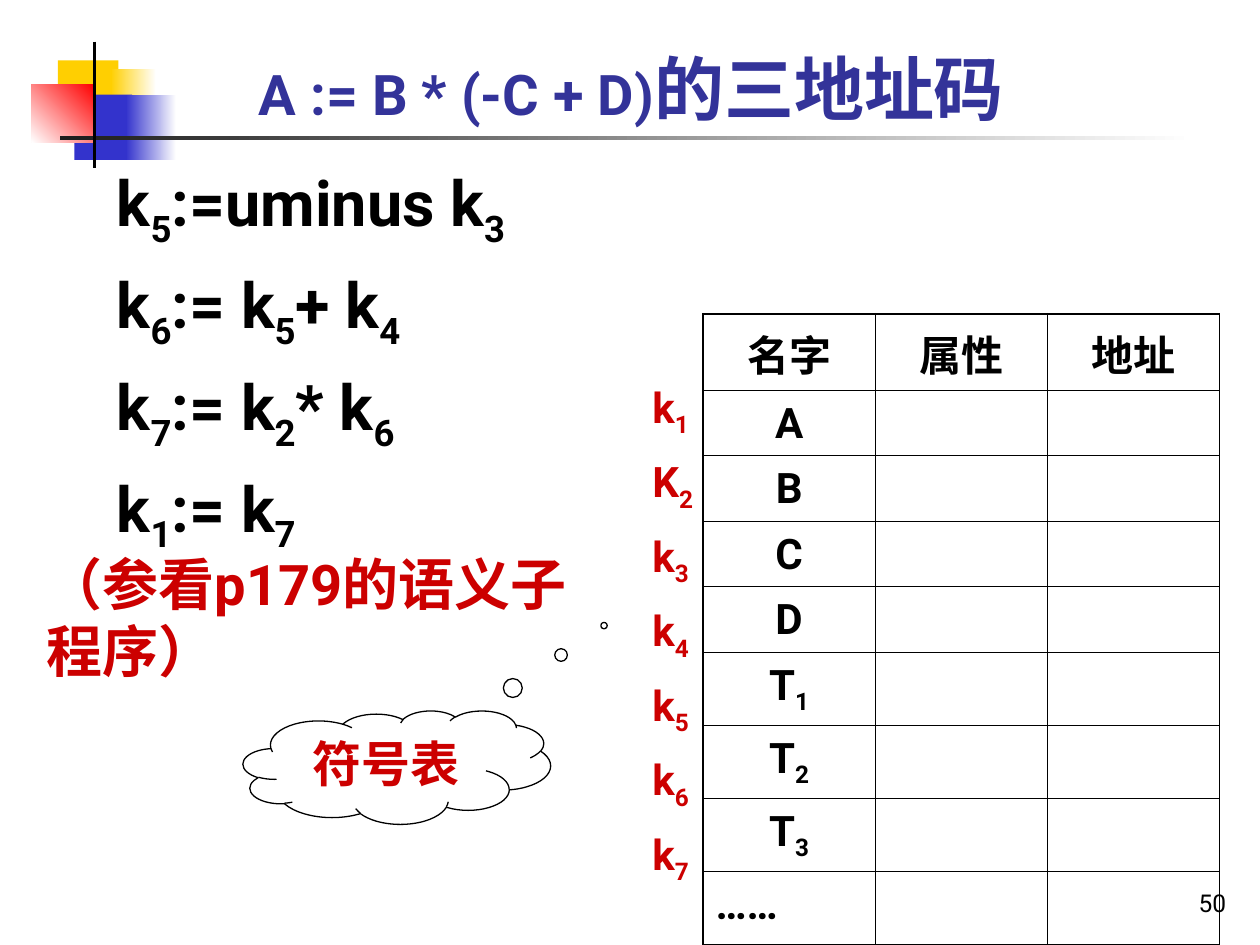
from lxml.etree import SubElement
from pptx import Presentation
from pptx.dml.color import RGBColor
from pptx.enum.shapes import MSO_CONNECTOR, MSO_SHAPE
from pptx.enum.text import MSO_ANCHOR, MSO_AUTO_SIZE, PP_ALIGN
from pptx.oxml import parse_xml
from pptx.oxml.ns import nsdecls, qn
from pptx.util import Inches, Pt

FONT = "Roboto"
BLACK = RGBColor(0, 0, 0)
CHARCOAL = RGBColor(0x1C, 0x1C, 0x1C)
WHITE = RGBColor(0xFF, 0xFF, 0xFF)
YELLOW = RGBColor(0xFF, 0xCF, 0x01)
BLUE = RGBColor(0x33, 0x33, 0xCC)
RED = RGBColor(0xFF, 0, 0)
TITLE_BLUE = RGBColor(0x33, 0x33, 0x99)
TEXT_RED = RGBColor(0xCC, 0, 0)
THIN, THICK = 0.45, 1.08

BLOCKS = [
    ((0.46, 0.48, 0.48, 0.52), [YELLOW], 0),
    ((0.88, 0.55, 0.36, 0.52), [WHITE, YELLOW], 180),
    ((0.59, 0.75, 0.46, 0.52), [BLUE], 0),
    ((1, 0.75, 0.4, 0.52), [WHITE, BLUE], 180),
    ((0.25, 0.67, 0.5, 0.46), [RED, WHITE], 225),
    ((0.48, 1.08, 9, 0.03), [WHITE, CHARCOAL], 180),
]
CODE = ["k_5:=uminus k_3", "k_6:= k_5+ k_4", "k_7:= k_2* k_6", "k_1:= k_7"]
HEADERS = ["名字", "属性", "地址"]
NAMES = ["A", "B", "C", "D", "T_1", "T_2", "T_3", "……"]
ADDRESSES = ["k_1", "K_2", "k_3", "k_4", "k_5", "k_6", "k_7"]


def add_runs(paragraph, text):
    """Write text, lowering the character that follows each underscore."""
    first, *others = text.split("_")
    pieces = [(first, False)]
    for other in others:
        pieces += [(other[0], True), (other[1:], False)]
    for piece, lowered in pieces:
        if piece:
            run = paragraph.add_run()
            run.text = piece
            if lowered:
                run.font._element.set("baseline", "-25000")


def write(frame, lines, size, color=BLACK, align=PP_ALIGN.LEFT, bold=True, before=0, spacing=None):
    """Fill a text frame with one paragraph per line."""
    for index, line in enumerate(lines):
        paragraph = frame.add_paragraph() if index else frame.paragraphs[0]
        add_runs(paragraph, line)
        paragraph.alignment = align
        paragraph.space_before = Pt(before)
        paragraph.line_spacing = spacing
        font = paragraph.font
        font.name, font.size, font.bold = FONT, Pt(size), bold
        font.color.rgb = color


def add_text(slide, box, lines, size, anchor=MSO_ANCHOR.TOP, wrap=True, grow=False, **style):
    """Add a text box and return its text frame."""
    frame = slide.shapes.add_textbox(*map(Inches, box)).text_frame
    frame.word_wrap = wrap
    frame.auto_size = MSO_AUTO_SIZE.SHAPE_TO_FIT_TEXT if grow else MSO_AUTO_SIZE.NONE
    frame.vertical_anchor = anchor
    write(frame, lines, size, **style)
    return frame


def add_block(slide, box, colors, angle):
    """Add a borderless rectangle with a solid or two-colour gradient fill."""
    shape = slide.shapes.add_shape(MSO_SHAPE.RECTANGLE, *map(Inches, box))
    shape.shadow.inherit = False
    shape.line.fill.background()
    if len(colors) == 1:
        shape.fill.solid()
        shape.fill.fore_color.rgb = colors[0]
    else:
        shape.fill.gradient()
        shape.fill.gradient_angle = angle
        for stop, color in zip(shape.fill.gradient_stops, colors):
            stop.color.rgb = color


def add_vertical_rule(slide):
    """Add the black upright line through the corner decoration."""
    rule = slide.shapes.add_connector(
        MSO_CONNECTOR.STRAIGHT, Inches(0.75), Inches(0.33), Inches(0.75), Inches(1.33))
    rule.line.color.rgb = BLACK
    rule.line.width = Pt(2)
    SubElement(rule._element.spPr, qn("a:effectLst"))


def set_borders(cell, widths):
    """Draw the left, right, top and bottom cell borders in black."""
    properties = cell._tc.get_or_add_tcPr()
    for index, (side, width) in enumerate(zip("LRTB", widths)):
        properties.insert(index, parse_xml(
            f'<a:ln{side} {nsdecls("a")} w="{Pt(width)}"><a:solidFill>'
            f'<a:srgbClr val="{BLACK}"/></a:solidFill></a:ln{side}>'))


def add_symbol_table(slide):
    """Add the symbol table with a heavy frame and a heavy line above its last row."""
    rows = [HEADERS] + [[name, "", ""] for name in NAMES]
    last_row, last_column = len(rows) - 1, len(HEADERS) - 1
    table = slide.shapes.add_table(
        len(rows), len(HEADERS), Inches(5.58), Inches(2.49), Inches(4.1), Inches(4.92)).table
    table.first_row = table.horz_banding = False
    for row, texts in enumerate(rows):
        table.rows[row].height = Inches(0.52 if row < 5 else 0.58)
        for column, text in enumerate(texts):
            cell = table.cell(row, column)
            cell.fill.background()
            set_borders(cell, [
                THICK if heavy else THIN for heavy in (
                    column == 0, column == last_column,
                    row in (0, last_row), row >= last_row - 1)])
            if text:
                align = PP_ALIGN.JUSTIFY if row == last_row else PP_ALIGN.CENTER
                write(cell.text_frame, [text], 24, align=align, before=6, spacing=1.05)


def add_cloud(slide):
    """Add the thought cloud that points at the symbol table."""
    cloud = slide.shapes.add_shape(
        MSO_SHAPE.CLOUD_CALLOUT, Inches(1.93), Inches(5.64), Inches(2.44), Inches(0.9))
    cloud.adjustments[0], cloud.adjustments[1] = 0.674, -1.25
    cloud.shadow.inherit = False
    cloud.fill.background()
    cloud.line.color.rgb = BLACK
    cloud.line.width = Pt(0.75)
    cloud.text_frame.vertical_anchor = MSO_ANCHOR.TOP
    write(cloud.text_frame, ["符号表"], 28, color=TEXT_RED, align=PP_ALIGN.CENTER)


def add_title(slide):
    """Add the title, with its Chinese part larger than the formula."""
    frame = add_text(slide, (0.75, 0.31, 8.52, 0.77), ["A := B * (-C + D)"], 32,
                     anchor=MSO_ANCHOR.BOTTOM, color=TITLE_BLUE, align=PP_ALIGN.CENTER)
    run = frame.paragraphs[0].add_run()
    run.text = "的三地址码"
    run.font.size = Pt(40)


def main():
    """Build and save the slide."""
    presentation = Presentation()
    presentation.slide_width, presentation.slide_height = Inches(10), Inches(7.5)
    slide = presentation.slides.add_slide(presentation.slide_layouts[6])
    for box, colors, angle in BLOCKS:
        add_block(slide, box, colors, angle)
    add_text(slide, (7.75, 6.83, 2.08, 0.5), ["50"], 14, anchor=MSO_ANCHOR.BOTTOM,
             align=PP_ALIGN.RIGHT, bold=False)
    add_vertical_rule(slide)
    add_title(slide)
    add_text(slide, (0.83, 1.25, 8.97, 6), CODE, 36, align=PP_ALIGN.JUSTIFY, before=9)
    add_symbol_table(slide)
    add_text(slide, (5.08, 2.84, 0.53, 4.24), ADDRESSES, 24, wrap=False, grow=True,
             color=TEXT_RED, spacing=1.3)
    add_cloud(slide)
    add_text(slide, (0.27, 4.31, 4.33, 1.17), ["（参看p179的语义子程序）"], 32,
             anchor=MSO_ANCHOR.MIDDLE, grow=True, color=TEXT_RED)
    presentation.save("out.pptx")


if __name__ == "__main__":
    main()
